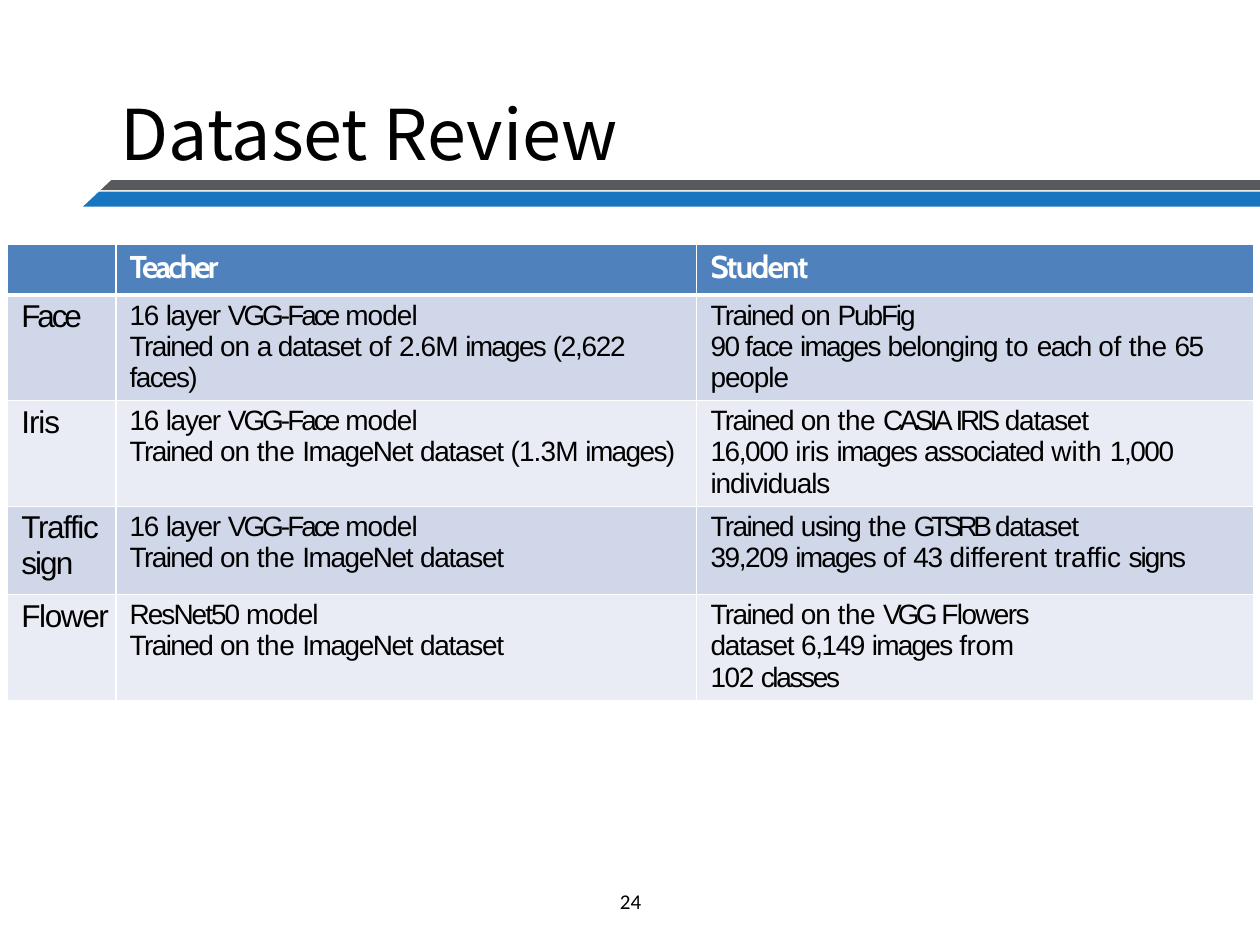
from lxml import etree
from pptx import Presentation
from pptx.dml.color import RGBColor
from pptx.enum import shapes, text
from pptx.oxml.ns import qn
from pptx.util import Inches, Pt

BLACK = RGBColor(0, 0, 0)
WHITE = RGBColor(255, 255, 255)
BLUE = RGBColor(0x18, 0x76, 0xC0)
GRAY = RGBColor(0x56, 0x5A, 0x5C)
HEAD = RGBColor(0x4F, 0x81, 0xBC)
BANDS = RGBColor(0xD0, 0xD7, 0xE8), RGBColor(0xE9, 0xEC, 0xF4)

COLS = 0.86, 4.61, 4.42
ROWS = 0.4, 0.63, 0.63, 0.7, 0.63
VGG = "16 layer VGG-Face model"
NET = "Trained on the ImageNet dataset"
CELLS = [
    [[], ["Teacher"], ["Student"]],
    [["Face"],
     [VGG, "Trained on a dataset of 2.6M images (2,622 faces)"],
     ["Trained on PubFig",
      "90 face images belonging to each of the 65 people"]],
    [["Iris"],
     [VGG, NET + " (1.3M images)"],
     ["Trained on the CASIA IRIS dataset",
      "16,000 iris images associated with 1,000 individuals"]],
    [["Traffic", "sign"],
     [VGG, NET],
     ["Trained using the GTSRB dataset",
      "39,209 images of 43 different traffic signs"]],
    [["Flower"],
     ["ResNet50 model", NET],
     ["Trained on the VGG Flowers dataset 6,149 images from 102 classes"]],
]
NARROW = (4, 2)  # cell whose text keeps a wide right margin

# Letter spacing in points by word; any other word takes TIGHT
TIGHT = -0.8
SPACING = {
    0.1: "to with",
    -0.1: "of traffic",
    -0.2: "the different from",
    -0.3: "iris",
    -0.5: "2.6M (1.3M model",
    -0.6: "on people individuals Iris",
    -0.7: "layer dataset (2,622 belonging",
    -0.9: "Trained faces) images) Flowers",
    -1: "images each Student",
    -1.1: "signs sign ResNet50",
    -1.2: "PubFig",
    -1.3: "a classes",
    -1.6: "Teacher",
    -1.7: "VGG-Face",
    -1.8: "Face IRIS",
    -2: "CASIA",
    -2.2: "VGG",
    -2.6: "GTSRB",
}
TRACK = {word: gap for gap, words in SPACING.items() for word in words.split()}


def style(run, name, size, color, bold=False):
    for key, val in dict(name=name, size=Pt(size), bold=bold).items():
        setattr(run.font, key, val)
    run.font.color.rgb = color


def bar(slide, box, color, turn=0):
    shape = slide.shapes.add_shape(shapes.MSO_SHAPE.RECTANGLE, *map(Inches, box))
    shape.shadow.inherit = False
    shape.fill.solid()
    shape.fill.fore_color.rgb = color
    shape.line.fill.background()
    shape.rotation = turn


def label(slide, box, words, name, size, **look):
    frame = slide.shapes.add_textbox(*map(Inches, box)).text_frame
    frame.word_wrap = True
    frame.vertical_anchor = look.pop("anchor")
    par = frame.paragraphs[0]
    for key, val in look.items():
        setattr(par, key, val)
    run = par.add_run()
    run.text = words
    style(run, name, size, BLACK)


def edge(cell, **widths):
    """Draw white cell borders, given in points by side: L, R, T, B."""
    props = cell._tc.get_or_add_tcPr()
    for spot, (side, wide) in enumerate(widths.items()):
        line = etree.Element(qn("a:ln" + side), w=str(Pt(wide)))
        fill = etree.SubElement(line, qn("a:solidFill"))
        etree.SubElement(fill, qn("a:srgbClr"), val=str(WHITE))
        props.insert(spot, line)


def write(cell, lines, name, size, color, bold, right):
    """Fill a cell with paragraphs, each word with its own letter spacing."""
    frame = cell.text_frame
    for num, line in enumerate(lines):
        par = frame.add_paragraph() if num else frame.paragraphs[0]
        par.space_before = Pt(0 if num else 2.5)
        props = par._p.get_or_add_pPr()
        for key, val in dict(marL=0.11, marR=right, indent=0).items():
            props.set(key, str(Inches(val)))
        words = line.split()
        for spot, word in enumerate(words, 1):
            run = par.add_run()
            run.text = word + " " * (spot < len(words))
            style(run, name, size, color, bold)
            gap = TRACK.get(word, TIGHT)
            run._r.get_or_add_rPr().set("spc", str(round(gap * 100)))


def grid(slide):
    frame = slide.shapes.add_table(
        len(ROWS), len(COLS), Inches(0.06), Inches(1.94),
        Inches(sum(COLS)), Inches(sum(ROWS)))
    table = frame.table
    for col, wide in zip(table.columns, COLS):
        col.width = Inches(wide)
    for row, high in zip(table.rows, ROWS):
        row.height = Inches(high)
    for r, line in enumerate(CELLS):
        for c, lines in enumerate(line):
            cell = table.cell(r, c)
            body = r > 0 and c > 0
            pads = dict(left=0, right=0, bottom=0, top=0.04 if body else 0.03)
            for side, pad in pads.items():
                setattr(cell, "margin_" + side, Inches(pad))
            cell.fill.solid()
            cell.fill.fore_color.rgb = BANDS[(r - 1) % 2] if r else HEAD
            edge(cell, L=1, R=1, T=3 if r == 1 else 1, B=1 if r else 3)
            write(cell, lines, "Arial" if r else "Cabin", 16 if body else 18,
                  BLACK if r else WHITE, r == 0,
                  1.67 if (r, c) == NARROW else 0)


def main():
    deck = Presentation()
    deck.slide_width, deck.slide_height = Inches(10), Inches(7.5)
    slide = deck.slides.add_slide(deck.slide_layouts[6])
    bar(slide, (0.16, 1.52, 9.84, 0.12), BLUE)
    bar(slide, (0.16, 1.43, 9.84, 0.08), GRAY)
    bar(slide, (0.32, 0.75, 0.56, 1.12), WHITE, 46.8)
    label(slide, (3.88, 6.95, 2.25, 0.4), "24", "Calibri", 12,
          anchor=text.MSO_ANCHOR.MIDDLE, alignment=text.PP_ALIGN.CENTER)
    label(slide, (0.86, 0.47, 8.62, 0.97), "Dataset Review",
          "Noto Sans CJK KR", 40,
          anchor=text.MSO_ANCHOR.BOTTOM, line_spacing=0.9)
    grid(slide)
    deck.save("out.pptx")


if __name__ == "__main__":
    main()
